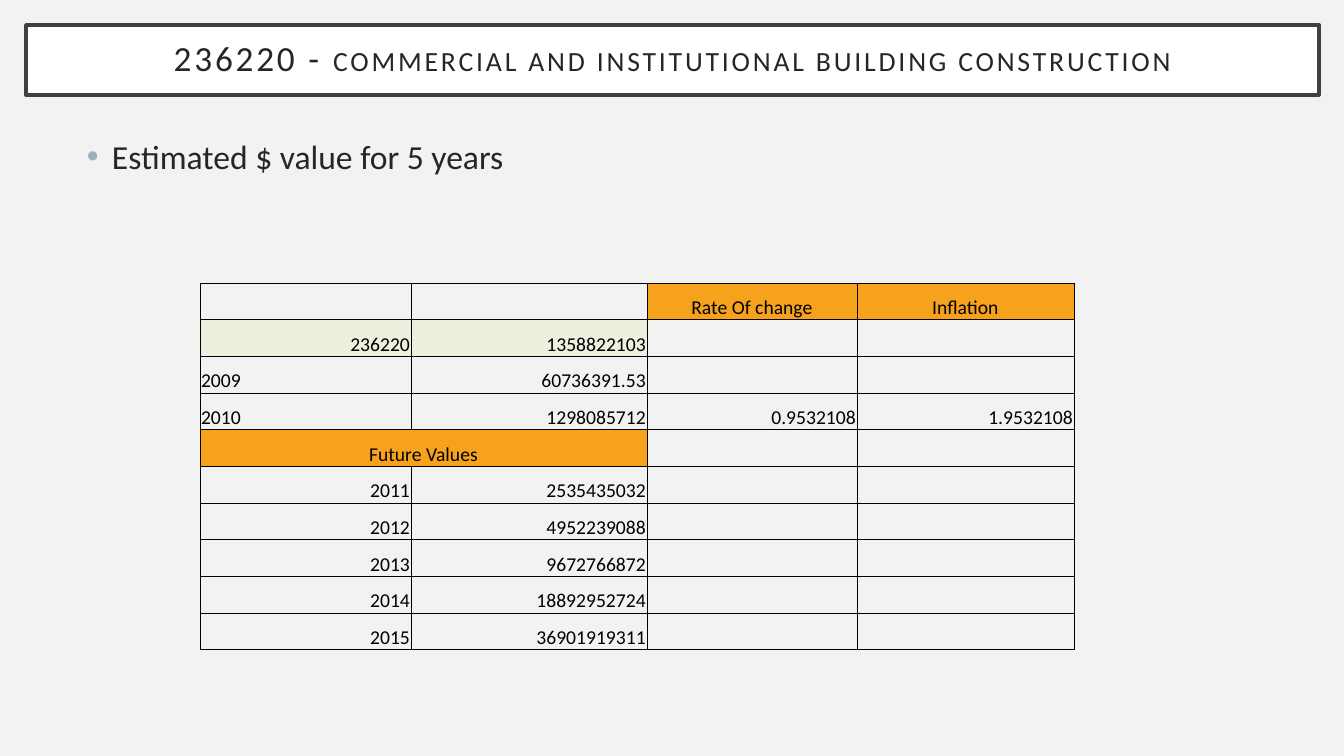
import pptx
import pptx.util
import pptx.dml.color
import pptx.enum.shapes
import pptx.enum.text
import pptx.oxml
import pptx.oxml.ns

SCALE = 914400 / 100.8
FONT = "Calibri"
INK = "262626"
ORANGE = "F6A21D"
GREEN = "EBF1DE"
ALIGN = pptx.enum.text.PP_ALIGN
ANCHOR = pptx.enum.text.MSO_ANCHOR


def px(n):
    return pptx.util.Emu(round(n * SCALE))


def color(code):
    return pptx.dml.color.RGBColor.from_string(code)


deck = pptx.Presentation()
deck.slide_width = px(1344)
deck.slide_height = px(756)
slide = deck.slides.add_slide(deck.slide_layouts[6])
slide.background.fill.solid()
slide.background.fill.fore_color.rgb = color("F2F2F2")

title = slide.shapes.add_shape(
    pptx.enum.shapes.MSO_SHAPE.RECTANGLE, px(26), px(25), px(1293), px(70))
title.shadow.inherit = False
title.fill.solid()
title.fill.fore_color.rgb = color("FFFFFF")
title.line.color.rgb = color("404040")
title.line.width = pptx.util.Pt(2.5)
frame = title.text_frame
frame.word_wrap = True
frame.vertical_anchor = ANCHOR.MIDDLE
frame.margin_left = frame.margin_right = px(20)
frame.margin_top = frame.margin_bottom = px(20)
para = frame.paragraphs[0]
para.alignment = ALIGN.CENTER
para.line_spacing = 0.9
para.font.name = FONT
for text, size in [
    ("236220 - ", 25.2),
    ("COMMERCIAL AND INSTITUTIONAL BUILDING CONSTRUCTION", 19.8),
]:
    run = para.add_run()
    run.text = text
    run.font.size = pptx.util.Pt(size)
    run.font.color.rgb = color(INK)
    run.font._element.set("spc", "200")

body = slide.shapes.add_textbox(px(77), px(131), px(1152), px(502))
body.text_frame.word_wrap = True
para = body.text_frame.paragraphs[0]
para.text = "Estimated $ value for 5 years"
props = para._p.get_or_add_pPr()
props.set("marL", str(px(25)))
props.set("indent", str(-px(25)))
space = pptx.oxml.ns.nsdecls("a")
for tag in [
    f'<a:buClr {space}><a:srgbClr val="9BAFB5"/></a:buClr>',
    f'<a:buFont {space} typeface="Arial"/>',
    f'<a:buChar {space} char="•"/>',
]:
    props.append(pptx.oxml.parse_xml(tag))
para.font.name = FONT
para.font.size = pptx.util.Pt(24)
para.font.color.rgb = color(INK)

rows = [
    ["", "", "Rate Of change", "Inflation"],
    ["236220", "1358822103", "", ""],
    ["2009", "60736391.53", "", ""],
    ["2010", "1298085712", "0.9532108", "1.9532108"],
    ["Future Values", "", "", ""],
    ["2011", "2535435032", "", ""],
    ["2012", "4952239088", "", ""],
    ["2013", "9672766872", "", ""],
    ["2014", "18892952724", "", ""],
    ["2015", "36901919311", "", ""],
]
fills = {
    (0, 2): ORANGE, (0, 3): ORANGE, (4, 0): ORANGE, (4, 1): ORANGE,
    (1, 0): GREEN, (1, 1): GREEN,
}
widths = [211, 236, 210, 217]
high = 367
table = slide.shapes.add_table(
    len(rows), len(widths), px(200), px(283), px(sum(widths)), px(high)).table
table.first_row = False
table.horz_banding = False
for col, width in zip(table.columns, widths):
    col.width = px(width)
for r, row in enumerate(rows):
    table.rows[r].height = px(high / len(rows))
    for c, text in enumerate(row):
        cell = table.cell(r, c)
        cell.margin_left = cell.margin_right = cell.margin_top = px(1)
        cell.margin_bottom = 0
        cell.vertical_anchor = ANCHOR.BOTTOM
        fill = fills.get((r, c))
        para = cell.text_frame.paragraphs[0]
        para.text = text
        if fill == ORANGE:
            para.alignment = ALIGN.CENTER
        elif text in ("2009", "2010"):
            para.alignment = ALIGN.LEFT
        else:
            para.alignment = ALIGN.RIGHT
        para.font.name = FONT
        para.font.size = pptx.util.Pt(14)
        para.font.color.rgb = color("000000")
        props = cell._tc.get_or_add_tcPr()
        for side in ("lnL", "lnR", "lnT", "lnB"):
            props.append(pptx.oxml.parse_xml(
                f'<a:{side} {space} w="6350"><a:solidFill>'
                f'<a:srgbClr val="000000"/></a:solidFill></a:{side}>'))
        if fill:
            cell.fill.solid()
            cell.fill.fore_color.rgb = color(fill)
        else:
            cell.fill.background()
table.cell(4, 0).merge(table.cell(4, 1))

deck.save("out.pptx")
